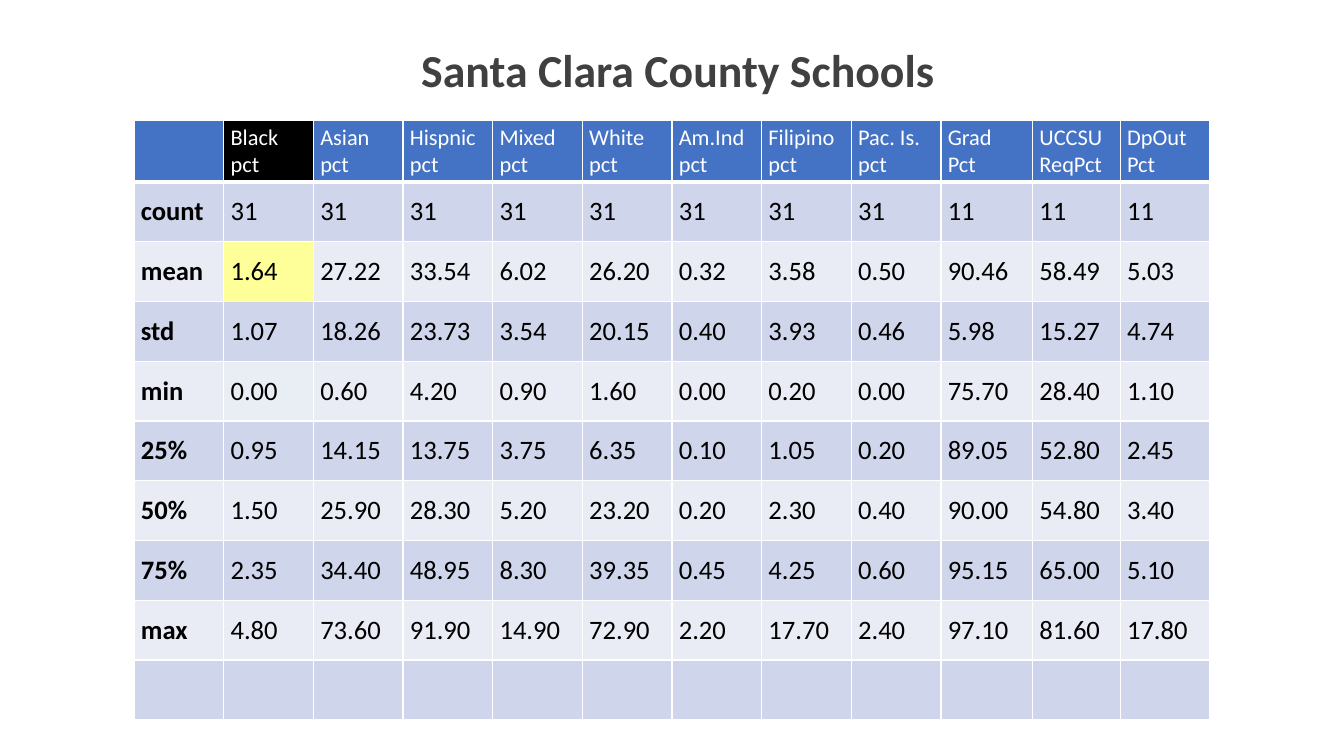
import dataclasses
import typing

import lxml.etree
import pptx
import pptx.dml.color
import pptx.enum.text
import pptx.oxml.ns
import pptx.util

Pt = pptx.util.Pt

# Colours
WHITE, BLACK, TITLE_GREY = "FFFFFF", "000000", "404040"
HEADER_BLUE, BAND_DARK, BAND_LIGHT = "4472C4", "CFD5EA", "E9EBF5"
SPECIAL_FILLS = {(0, 1): BLACK, (2, 1): "FFFF99", (4, 1): "E9EDF4"}

# Table contents
HEADERS = ["", "Black\npct", "Asian\npct", "Hispnic\npct", "Mixed\npct",
           "White\npct", "Am.Ind\npct", "Filipino\npct", "Pac. Is.\npct",
           "Grad\nPct", "UCCSU\nReqPct", "DpOut\nPct"]
STATISTICS = [
    "count 31 31 31 31 31 31 31 31 11 11 11",
    "mean 1.64 27.22 33.54 6.02 26.20 0.32 3.58 0.50 90.46 58.49 5.03",
    "std 1.07 18.26 23.73 3.54 20.15 0.40 3.93 0.46 5.98 15.27 4.74",
    "min 0.00 0.60 4.20 0.90 1.60 0.00 0.20 0.00 75.70 28.40 1.10",
    "25% 0.95 14.15 13.75 3.75 6.35 0.10 1.05 0.20 89.05 52.80 2.45",
    "50% 1.50 25.90 28.30 5.20 23.20 0.20 2.30 0.40 90.00 54.80 3.40",
    "75% 2.35 34.40 48.95 8.30 39.35 0.45 4.25 0.60 95.15 65.00 5.10",
    "max 4.80 73.60 91.90 14.90 72.90 2.20 17.70 2.40 97.10 81.60 17.80",
]
ROWS = [HEADERS, *(line.split() for line in STATISTICS), [""] * len(HEADERS)]

# Table measures
COLUMN_WIDTHS = [64.05] * 9 + [65.5, 62.6, 64.05]
ROW_HEIGHTS = [43.9] + [42.7] * (len(ROWS) - 1)
CELL_FORMAT = {
    "margin_left": Pt(4.9), "margin_right": Pt(4.9),
    "margin_top": Pt(2.4), "margin_bottom": Pt(2.4),
    "vertical_anchor": pptx.enum.text.MSO_ANCHOR.MIDDLE,
}


@dataclasses.dataclass(frozen=True)
class TextStyle:
    size: float
    color: str
    bold: bool = False


@dataclasses.dataclass(frozen=True)
class CellStyle:
    fill: str
    text: TextStyle
    bottom_line: float = 1


TITLE_TEXT = TextStyle(32.7, TITLE_GREY, True)
HEADER_TEXT = TextStyle(16, WHITE)
LABEL_TEXT = TextStyle(19, BLACK, True)
VALUE_TEXT = TextStyle(19, BLACK)


def rgb(value: str) -> pptx.dml.color.RGBColor:
    return pptx.dml.color.RGBColor.from_string(value)


def apply_format(target: typing.Any, values: dict[str, typing.Any]) -> None:
    for name, value in values.items():
        setattr(target, name, value)


def write_text(frame: typing.Any, text: str, style: TextStyle) -> None:
    frame.text = text
    for para in frame.paragraphs:
        apply_format(para.font, {"name": "Calibri", "size": Pt(style.size),
                                 "bold": style.bold})
        para.font.color.rgb = rgb(style.color)
        for span in para.runs:
            apply_format(span.font, {"name": "Calibri", "size": Pt(style.size),
                                     "bold": style.bold})
            span.font.color.rgb = rgb(style.color)


def add_borders(cell: typing.Any, bottom_line: float) -> None:
    properties = cell._tc.get_or_add_tcPr()
    qn = pptx.oxml.ns.qn
    for side, width in {"L": 1, "R": 1, "T": 1, "B": bottom_line}.items():
        line = lxml.etree.SubElement(properties, qn(f"a:ln{side}"), w=str(int(Pt(width))))
        fill = lxml.etree.SubElement(line, qn("a:solidFill"))
        lxml.etree.SubElement(fill, qn("a:srgbClr"), val=WHITE)


def cell_style(row: int, column: int) -> CellStyle:
    if row == 0:
        return CellStyle(SPECIAL_FILLS.get((row, column), HEADER_BLUE), HEADER_TEXT, 3)
    band = BAND_DARK if row % 2 else BAND_LIGHT
    return CellStyle(SPECIAL_FILLS.get((row, column), band),
                     VALUE_TEXT if column else LABEL_TEXT)


def draw_cell(cell: typing.Any, text: str, style: CellStyle) -> None:
    apply_format(cell, CELL_FORMAT)
    add_borders(cell, style.bottom_line)
    cell.fill.solid()
    cell.fill.fore_color.rgb = rgb(style.fill)
    if text:
        write_text(cell.text_frame, text, style.text)


def draw_table(page: typing.Any) -> None:
    table = page.shapes.add_table(
        len(ROWS), len(HEADERS), Pt(95.8), Pt(86),
        Pt(sum(COLUMN_WIDTHS)), Pt(sum(ROW_HEIGHTS))).table
    for column, width in zip(table.columns, COLUMN_WIDTHS):
        column.width = Pt(width)
    for row, height in zip(table.rows, ROW_HEIGHTS):
        row.height = Pt(height)
    for row, texts in enumerate(ROWS):
        for column, text in enumerate(texts):
            draw_cell(table.cell(row, column), text, cell_style(row, column))


def draw_title(page: typing.Any) -> None:
    box = page.shapes.add_textbox(Pt(293.8), Pt(25.9), Pt(381.6), Pt(46.8))
    box.text_frame.word_wrap = False
    write_text(box.text_frame, "Santa Clara County Schools", TITLE_TEXT)


def main() -> None:
    deck = pptx.Presentation()
    apply_format(deck, {"slide_width": Pt(960), "slide_height": Pt(540)})
    page = deck.slides.add_slide(deck.slide_layouts[6])
    draw_table(page)
    draw_title(page)
    deck.save("out.pptx")


if __name__ == "__main__":
    main()
